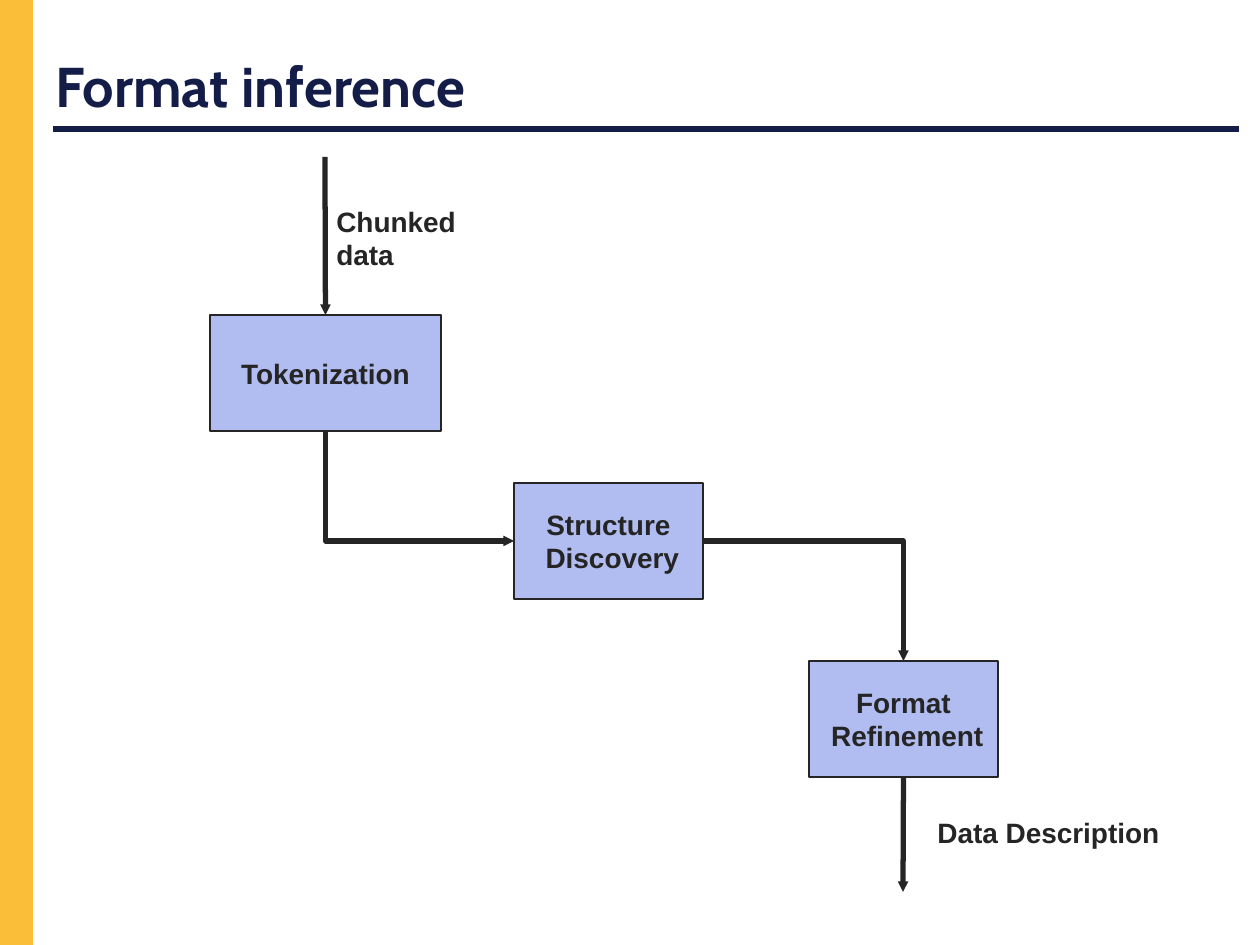
from dataclasses import dataclass

from lxml import etree
from pptx import Presentation
from pptx import util as u
from pptx.dml.color import RGBColor
from pptx.enum import shapes, text
from pptx.oxml.ns import qn

PX = u.Inches(1) / 126
NAVY, GOLD, INK, LILAC, WHITE = "131D48", "FABE38", "252525", "B1BDF0", "FFFFFF"
TOP, LEFT, BOTTOM, RIGHT = range(4)


@dataclass
class Area:
    left: int
    top: int
    width: int
    height: int

    def emu(self) -> list[int]:
        return [px(n) for n in (self.left, self.top, self.width, self.height)]


@dataclass
class Stage:
    name: str
    area: Area


@dataclass
class Label:
    text: str
    area: Area
    size: int = 16
    font: str = "Arial"
    color: str = INK
    wrap: bool = False
    anchor: text.MSO_ANCHOR = text.MSO_ANCHOR.TOP


STAGES = [
    Stage("Tokenization", Area(210, 315, 231, 116)),
    Stage("Structure\n Discovery", Area(514, 483, 189, 116)),
    Stage("Format\n Refinement", Area(809, 661, 189, 116)),
]
LABELS = [
    Label("Format inference", Area(43, 30, 1202, 111), 32, "Cabin", NAVY, True,
          text.MSO_ANCHOR.MIDDLE),
    Label("Chunked data", Area(324, 198, 209, 47)),
    Label("Data Description", Area(925, 809, 247, 47)),
]


def px(count: float) -> int:
    return round(count * PX)


def rgb(value: str) -> RGBColor:
    return RGBColor.from_string(value)


def write(frame, content: str, size: int, font: str, color: str, align) -> None:
    frame.text = content
    for paragraph in frame.paragraphs:
        paragraph.alignment = align
        for run in paragraph.runs:
            run.font.size, run.font.name, run.font.bold = u.Pt(size), font, True
            run.font.color.rgb = rgb(color)


def add_label(slide, label: Label) -> None:
    frame = slide.shapes.add_textbox(*label.area.emu()).text_frame
    frame.word_wrap = label.wrap
    frame.vertical_anchor = label.anchor
    write(frame, label.text, label.size, label.font, label.color, text.PP_ALIGN.LEFT)


def add_rectangle(slide, area: Area, fill: str):
    shape = slide.shapes.add_shape(shapes.MSO_SHAPE.RECTANGLE, *area.emu())
    shape.shadow.inherit = False
    shape.fill.solid()
    shape.fill.fore_color.rgb = rgb(fill)
    shape.line.fill.background()
    return shape


def add_stage(slide, stage: Stage):
    shape = add_rectangle(slide, stage.area, LILAC)
    shape.line.color.rgb = rgb(INK)
    shape.line.width = u.Pt(1)
    shape.text_frame.word_wrap = False
    shape.text_frame.vertical_anchor = text.MSO_ANCHOR.MIDDLE
    write(shape.text_frame, stage.name, 16, "Arial", INK, text.PP_ALIGN.CENTER)
    return shape


def add_line(slide, kind, points: tuple, color: str):
    line = slide.shapes.add_connector(kind, *[px(n) for n in points])
    line.line.color.rgb = rgb(color)
    line.line.width = u.Pt(3)
    etree.SubElement(line._element.spPr, qn("a:effectLst"))
    return line


def add_arrow(slide, kind, points: tuple = (0, 0, 0, 0)):
    arrow = add_line(slide, kind, points, INK)
    etree.SubElement(arrow.line._get_or_add_ln(), qn("a:tailEnd"),
                     type="triangle", w="sm", len="sm")
    return arrow


def add_corner_arrow(slide, source, source_side: int, target, target_side: int) -> None:
    """Join two stages by an arrow with a single right-angled bend."""
    arrow = add_arrow(slide, shapes.MSO_CONNECTOR.ELBOW)
    arrow.begin_connect(source, source_side)
    arrow.end_connect(target, target_side)
    properties = arrow._element.spPr
    properties.find(qn("a:prstGeom")).set("prst", "bentConnector2")
    if source_side == BOTTOM:  # the preset runs across first, so turn it to run down first
        width, height = arrow.width, arrow.height
        shift = (width - height) // 2
        arrow.left, arrow.top = arrow.left + shift, arrow.top - shift
        arrow.width, arrow.height = height, width
        frame = properties.find(qn("a:xfrm"))
        frame.set("rot", "16200000")
        frame.set("flipH", "1")


def main() -> None:
    presentation = Presentation()
    presentation.slide_width, presentation.slide_height = u.Inches(10), u.Inches(7.5)
    slide = presentation.slides.add_slide(presentation.slide_layouts[6])
    slide.background.fill.solid()
    slide.background.fill.fore_color.rgb = rgb(WHITE)

    straight = shapes.MSO_CONNECTOR.STRAIGHT
    add_rectangle(slide, Area(0, 0, 33, 945), GOLD)
    add_line(slide, straight, (53, 129, 1239, 129), NAVY)

    tokenization, discovery, refinement = [add_stage(slide, stage) for stage in STAGES]
    add_arrow(slide, straight, (325, 157, 325, 315)).end_connect(tokenization, TOP)
    add_corner_arrow(slide, tokenization, BOTTOM, discovery, LEFT)
    add_corner_arrow(slide, discovery, RIGHT, refinement, TOP)
    add_arrow(slide, straight, (903, 777, 903, 892)).begin_connect(refinement, BOTTOM)

    for label in LABELS:
        add_label(slide, label)
    presentation.save("out.pptx")


if __name__ == "__main__":
    main()
